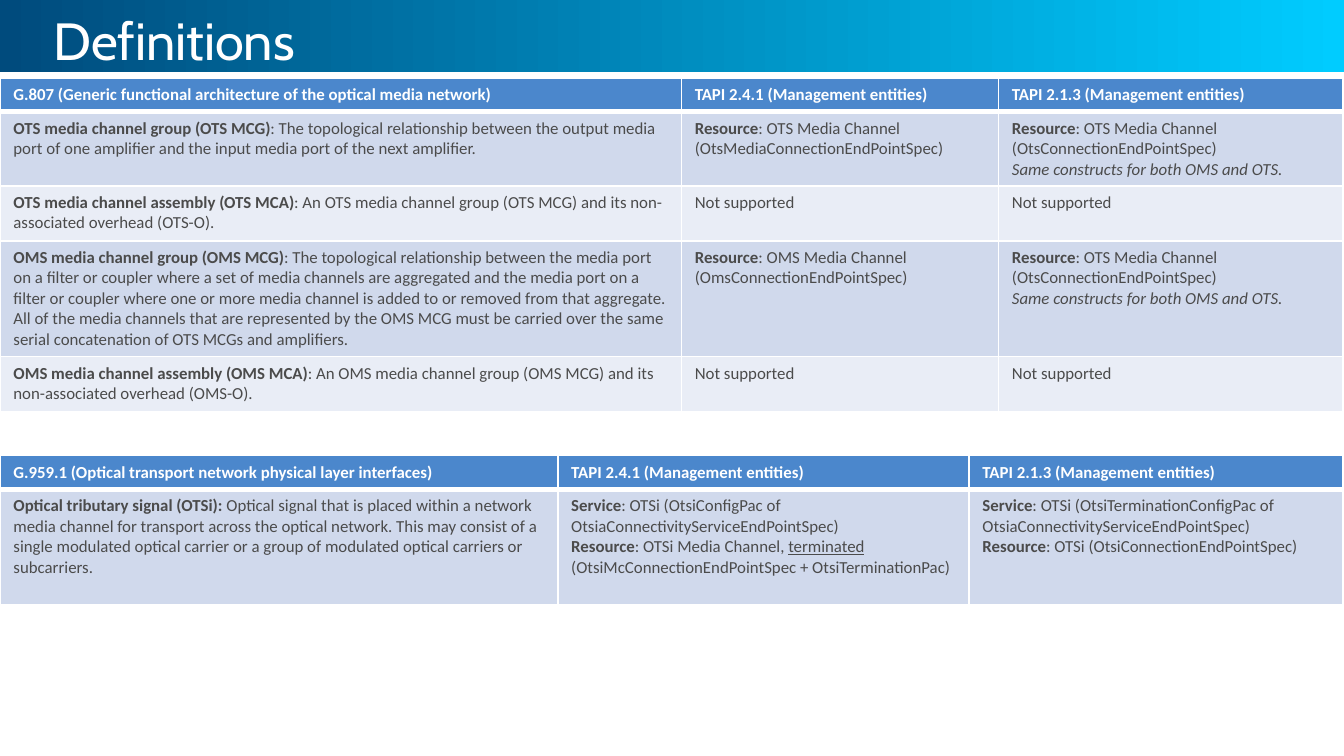
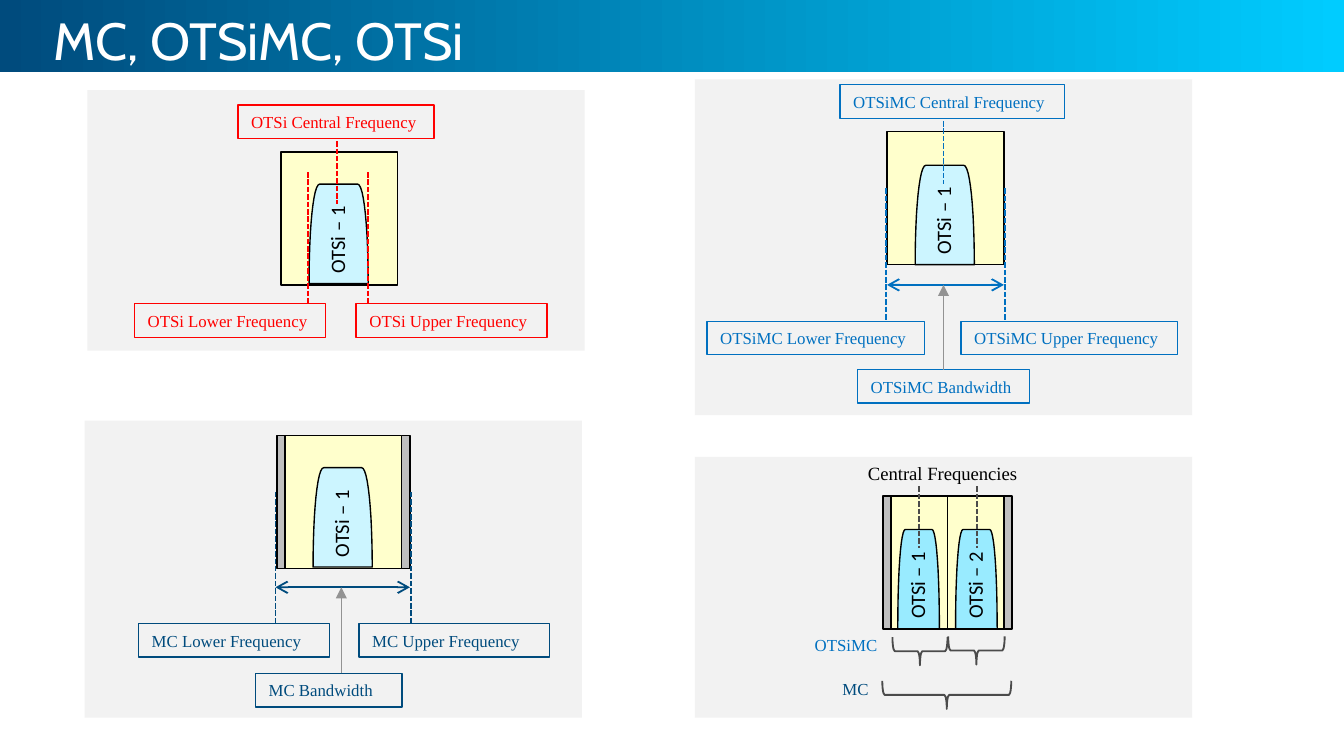
from lxml import etree
from pptx import Presentation
from pptx.dml.color import RGBColor
from pptx.enum.dml import MSO_LINE
from pptx.enum.shapes import MSO_CONNECTOR, MSO_SHAPE
from pptx.enum.text import MSO_ANCHOR, PP_ALIGN
from pptx.oxml.ns import qn
from pptx.util import Inches, Pt

RECTANGLE, BRACE = MSO_SHAPE.RECTANGLE, MSO_SHAPE.LEFT_BRACE
STRAIGHT = MSO_CONNECTOR.STRAIGHT
DASH = MSO_LINE.SQUARE_DOT
LEFT, CENTER = PP_ALIGN.LEFT, PP_ALIGN.CENTER
TOP, MIDDLE = MSO_ANCHOR.TOP, MSO_ANCHOR.MIDDLE

TITLE_FONT, BODY_FONT, LABEL_FONT = "Cabin", "Calibri", "Times New Roman"
COLORS = {
    "navy": "004B7D", "cyan": "00CCFF", "white": "FFFFFF", "black": "000000",
    "header": "4B87CC", "band_dark": "D0D9EC", "band_light": "E9EDF6",
    "text": "4B4B4B", "panel": "F2F2F2", "guard": "BFBFBF", "channel": "FFFFCC",
    "signal": "CCF5FF", "signal_pair": "99EBFF", "blue": "0070C0",
    "red": "FF0000", "arrow": "939393",
}
RGB = {name: RGBColor.from_string(value) for name, value in COLORS.items()}


def add_box(page, area, fill=None, line=None, text="", color="black", size=9,
            font=LABEL_FONT, margin=None, align=LEFT, anchor=TOP, preset=RECTANGLE):
    place = [Inches(value) for value in area]
    if fill or line:
        box = page.shapes.add_shape(preset, *place)
        box.shadow.inherit = False
    else:
        box = page.shapes.add_textbox(*place)
    if fill:
        box.fill.solid()
        box.fill.fore_color.rgb = RGB[fill]
    else:
        box.fill.background()
    if line:
        box.line.color.rgb = RGB[line]
        box.line.width = Pt(0.75)
    else:
        box.line.fill.background()
    if text:
        frame = box.text_frame
        frame.text = text
        frame.word_wrap = True
        frame.vertical_anchor = anchor
        if margin is not None:
            frame.margin_left = frame.margin_right = Inches(margin)
            frame.margin_top = frame.margin_bottom = Inches(margin)
        para = frame.paragraphs[0]
        para.alignment = align
        span = para.runs[0].font
        span.name, span.size, span.color.rgb = font, Pt(size), RGB[color]
    return box


def add_line(page, start, end, color, width=1, dash=None, head=None, tail=None):
    points = [Inches(value) for value in start + end]
    connector = page.shapes.add_connector(STRAIGHT, *points)
    connector.line.color.rgb = RGB[color]
    connector.line.width = Pt(width)
    if dash:
        connector.line.dash_style = dash
    properties = connector._element.spPr
    outline = properties.find(qn("a:ln"))
    for tag, kind in (("a:headEnd", head), ("a:tailEnd", tail)):
        if kind:
            etree.SubElement(outline, qn(tag), type=kind)
    etree.SubElement(properties, qn("a:effectLst"))
    return connector


deck = Presentation()
deck.slide_width = Inches(10)
deck.slide_height = deck.slide_width * 9 // 16
pages = []
for title in ("Definitions", "MC, OTSiMC, OTSi"):
    page = deck.slides.add_slide(deck.slide_layouts[6])
    band = add_box(page, (0, 0, 10, 0.54), "navy")
    band.fill.gradient()
    band.fill.gradient_angle = 0
    for stop, name in zip(band.fill.gradient_stops, ("navy", "cyan")):
        stop.color.rgb = RGB[name]
    heading = add_box(page, (0.3, 0, 9.49, 0.58), text=title, color="white",
                      size=28, font=TITLE_FONT, anchor=MIDDLE)
    heading.text_frame.paragraphs[0].line_spacing = Pt(34)
    pages.append(page)
definitions, diagrams = pages

entities = [[[("TAPI 2.4.1 (Management entities)", "b")]],
            [[("TAPI 2.1.3 (Management entities)", "b")]]]
unsupported = [[("Not supported", "")]]
shared_construct = [
    [("Resource", "b"), (": OTS Media Channel (OtsConnectionEndPointSpec)", "")],
    [("Same constructs for both OMS and OTS", "i"), (".", "")]]
media_rows = [
    [[[("G.807 (Generic functional architecture of the optical media network)", "b")]],
     *entities],
    [[[("OTS media channel group (OTS MCG)", "b"),
       (": The topological relationship between the output media port of one amplifier "
        "and the input media port of the next amplifier.", "")]],
     [[("Resource", "b"), (": OTS Media Channel (OtsMediaConnectionEndPointSpec)", "")]],
     shared_construct],
    [[[("OTS media channel assembly (OTS MCA)", "b"),
       (": An OTS media channel group (OTS MCG) and its non-associated overhead (OTS-O).",
        "")]], unsupported, unsupported],
    [[[("OMS media channel group (OMS MCG)", "b"),
       (": The topological relationship between the media port on a filter or coupler "
        "where a set of media channels are aggregated and the media port on a filter or "
        "coupler where one or more media channel is added to or removed from that "
        "aggregate. All of the media channels that are represented by the OMS MCG must be "
        "carried over the same serial concatenation of OTS MCGs and amplifiers.", "")]],
     [[("Resource", "b"), (": OMS Media Channel (OmsConnectionEndPointSpec)", "")]],
     shared_construct],
    [[[("OMS media channel assembly (OMS MCA)", "b"),
       (": An OMS media channel group (OMS MCG) and its non-associated overhead (OMS-O).",
        "")]], unsupported, unsupported],
]
signal_rows = [
    [[[("G.959.1 (Optical transport network physical layer interfaces)", "b")]], *entities],
    [[[("Optical tributary signal (OTSi): ", "b"),
       ("Optical signal that is placed within a network media channel for transport across "
        "the optical network. This may consist of a single modulated optical carrier or a "
        "group of modulated optical carriers or subcarriers.", "")]],
     [[("Service", "b"), (": OTSi (OtsiConfigPac of OtsiaConnectivityServiceEndPointSpec)", "")],
      [("Resource", "b"), (": OTSi Media Channel, ", ""), ("terminated", "u"),
       (" (OtsiMcConnectionEndPointSpec + OtsiTerminationPac)", "")]],
     [[("Service", "b"),
       (": OTSi (OtsiTerminationConfigPac of OtsiaConnectivityServiceEndPointSpec)", "")],
      [("Resource", "b"), (": OTSi (OtsiConnectionEndPointSpec)", "")]]],
]
for top, widths, heights, rows in (
        (0.58, (5.07, 2.36, 2.56), (0.25, 0.55, 0.41, 0.86, 0.41), media_rows),
        (3.39, (4.15, 3.06, 2.78), (0.25, 0.86), signal_rows)):
    table = definitions.shapes.add_table(
        len(rows), len(widths), 0, Inches(top), Inches(sum(widths)),
        Inches(sum(heights))).table
    table.horz_banding = False
    for column, width in zip(table.columns, widths):
        column.width = Inches(width)
    for row_index, row in enumerate(rows):
        table.rows[row_index].height = Inches(heights[row_index])
        is_header = row_index == 0
        fill = "header" if is_header else ("band_light", "band_dark")[row_index % 2]
        for column_index, paragraphs in enumerate(row):
            cell = table.cell(row_index, column_index)
            cell.fill.solid()
            cell.fill.fore_color.rgb = RGB[fill]
            cell_properties = cell._tc.get_or_add_tcPr()
            for position, side in enumerate(("L", "R", "T", "B")):
                weight = 3 if is_header and side == "B" else 1
                border = etree.Element(qn("a:ln" + side), w=str(Pt(weight)))
                paint = etree.SubElement(border, qn("a:solidFill"))
                etree.SubElement(paint, qn("a:srgbClr"), val=COLORS["white"])
                cell_properties.insert(position, border)
            for index, spans in enumerate(paragraphs):
                frame = cell.text_frame
                para = frame.add_paragraph() if index else frame.paragraphs[0]
                for words, style in spans:
                    span = para.add_run()
                    span.text = words
                    span.font.name, span.font.size = BODY_FONT, Pt(9)
                    span.font.color.rgb = RGB["white" if is_header else "text"]
                    span.font.bold = style == "b"
                    span.font.italic = style == "i"
                    span.font.underline = style == "u"

for panel in ((5.17, 3.4, 3.7, 1.94), (0.63, 3.13, 3.7, 2.21),
              (5.17, 0.59, 3.7, 2.5), (0.65, 0.67, 3.7, 1.94)):
    add_box(diagrams, panel, "panel")
for guard_band in ((2.06, 3.24, 0.99, 0.99), (6.57, 3.69, 0.96, 0.99)):
    add_box(diagrams, guard_band, "guard", "black")
for channel in ((6.6, 0.98, 0.87, 0.99), (2.09, 1.13, 0.87, 0.99),
                (2.12, 3.24, 0.87, 0.99), (6.63, 3.69, 0.42, 0.99),
                (7.05, 3.69, 0.42, 0.99)):
    add_box(diagrams, channel, "channel", "black")

signal_height, steps = 0.74, 12
for left, top, width, fill, label in (
        (6.81, 1.23, 0.44, "signal", "OTSi – 1"),
        (2.3, 1.37, 0.44, "signal", "OTSi – 1"),
        (2.33, 3.48, 0.44, "signal", "OTSi – 1"),
        (6.68, 3.94, 0.31, "signal_pair", "OTSi – 1"),
        (7.11, 3.94, 0.31, "signal_pair", "OTSi – 2")):
    shoulder = []
    for step in range(steps + 1):
        t = step / steps
        across = 0.18 * (1 - t) ** 3 + 0.07 * 3 * t * (1 - t) ** 2
        down = 0.45 * 3 * t ** 2 * (1 - t) + t ** 3
        shoulder.append((across * width, down * signal_height))
    points = [(left + x, top + y) for x, y in shoulder]
    points += [(left + width - x, top + y) for x, y in reversed(shoulder)]
    points = [(Inches(x), Inches(y)) for x, y in points]
    builder = diagrams.shapes.build_freeform(*points[0])
    builder.add_line_segments(points[1:], close=True)
    signal = builder.convert_to_shape()
    signal.shadow.inherit = False
    signal.fill.solid()
    signal.fill.fore_color.rgb = RGB[fill]
    signal.line.color.rgb = RGB["black"]
    signal.line.width = Pt(0.75)
    caption = add_box(diagrams, (left + width / 2 - 0.32, top + 0.26, 0.62, 0.19), fill,
                      text=label, size=11, font=BODY_FONT, margin=0)
    caption.rotation = 270

frequency_boxes = {}
for label, color, left, top, width in (
        ("OTSiMC Central Frequency", "blue", 6.25, 0.63, 1.67),
        ("OTSiMC Upper Frequency", "blue", 7.15, 2.39, 1.61),
        ("OTSiMC Lower Frequency", "blue", 5.26, 2.39, 1.62),
        ("OTSiMC Bandwidth", "blue", 6.38, 2.75, 1.28),
        ("OTSi Central Frequency", "red", 1.77, 0.78, 1.46),
        ("OTSi Upper Frequency", "red", 2.65, 2.26, 1.42),
        ("OTSi Lower Frequency", "red", 1, 2.26, 1.42),
        ("MC Upper Frequency", "navy", 2.67, 4.64, 1.42),
        ("MC Lower Frequency", "navy", 1.03, 4.64, 1.42),
        ("MC Bandwidth", "navy", 1.9, 5.01, 1.09)):
    frequency_boxes[label] = add_box(diagrams, (left, top, width, 0.25), line=color,
                                     text=label, color=color)

for x, top, length, color in (
        (7.02, 0.9, 0.47, "blue"), (6.59, 1.4, 0.99, "blue"), (7.48, 1.4, 0.99, "blue"),
        (2.51, 1.05, 0.47, "red"), (2.29, 1.28, 0.99, "red"), (2.74, 1.28, 0.99, "red"),
        (2.05, 3.66, 0.99, "navy"), (3.06, 3.66, 0.98, "navy"),
        (6.84, 3.62, 0.46, "text"), (7.27, 3.62, 0.46, "text")):
    add_line(diagrams, (x, top), (x, top + length), color, dash=DASH)

for left, right, y, color in ((6.6, 7.47, 2.12, "blue"), (2.05, 3.05, 4.37, "navy")):
    add_line(diagrams, (left, y), (right, y), color, head="arrow", tail="arrow")
pointer = add_line(diagrams, (7.02, 2.75), (7.02, 2.12), "arrow", 0.25, tail="triangle")
pointer.begin_connect(frequency_boxes["OTSiMC Bandwidth"], 0)
add_line(diagrams, (2.54, 5.01), (2.54, 4.37), "arrow", 0.25, tail="triangle")

for left, top, span_length in ((6.74, 4.64, 0.41), (7.16, 4.63, 0.42), (6.94, 4.69, 0.96)):
    brace = add_box(diagrams, (left, top, 0.21, span_length), line="text", preset=BRACE)
    brace.line.width = Pt(1)
    brace.rotation = 270

add_box(diagrams, (6.36, 3.39, 1.4, 0.28), text="Central Frequencies", size=10)
for area, label, color in (((5.98, 4.72, 0.63, 0.15), "OTSiMC", "blue"),
                           ((6.15, 5.05, 0.43, 0.15), "MC", "navy")):
    add_box(diagrams, area, text=label, color=color, margin=0, align=CENTER, anchor=MIDDLE)

deck.save("out.pptx")
